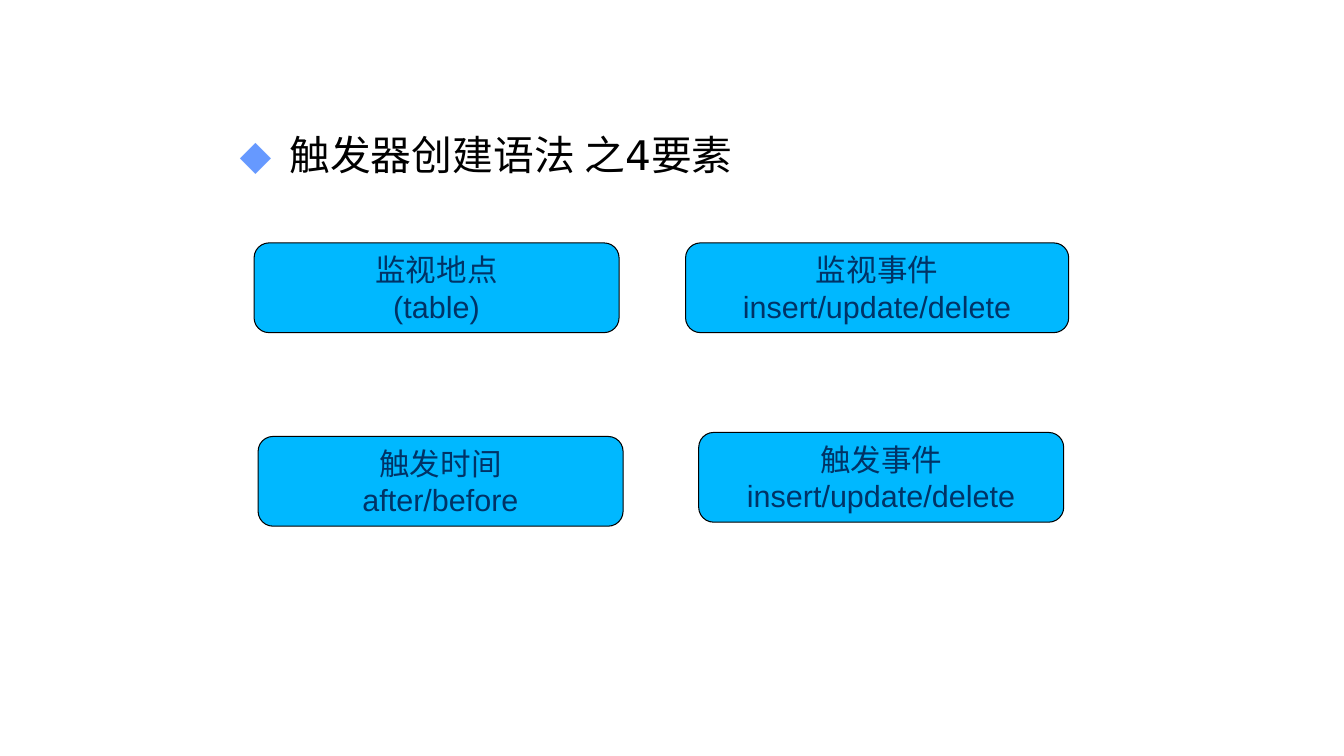
from lxml import etree
from pptx import Presentation
from pptx.dml.color import RGBColor
from pptx.enum import shapes, text
from pptx.oxml import ns
from pptx.util import Inches, Pt

COLORS = {
    "heading": "000000",
    "bullet": "6699FF",
    "card": "00B8FF",
    "outline": "000000",
    "label": "003366",
}


def write_text(frame, lines, *, size, font, color, align):
    for index, line in enumerate(lines):
        paragraph = frame.paragraphs[0] if index == 0 else frame.add_paragraph()
        paragraph.alignment = align
        run = paragraph.add_run()
        run.text = line
        run.font.size = Pt(size)
        run.font.name = font
        run.font.color.rgb = RGBColor.from_string(COLORS[color])


deck = Presentation()
deck.slide_width = Inches(13.33)
deck.slide_height = Inches(7.5)
slide = deck.slides.add_slide(deck.slide_layouts[1])
unused_title = slide.shapes.title.element
unused_title.getparent().remove(unused_title)

heading = slide.placeholders[1]
heading.left, heading.top = Inches(2.29), Inches(1.26)
heading.width, heading.height = Inches(8.26), Inches(0.57)
heading_frame = heading.text_frame
heading_frame.auto_size = text.MSO_AUTO_SIZE.NONE
heading_frame.vertical_anchor = text.MSO_ANCHOR.TOP
heading_frame.margin_left = heading_frame.margin_right = Inches(0.09)
heading_frame.margin_top = heading_frame.margin_bottom = Inches(0.05)
write_text(heading_frame, ["触发器创建语法 之4要素"], size=29.1,
           font="DejaVu Sans", color="heading", align=text.PP_ALIGN.LEFT)

heading_line = heading_frame.paragraphs[0]
heading_line.line_spacing = 0.98
heading_line.space_before = Pt(7)
bullet_format = heading_line._p.get_or_add_pPr()
bullet_format.set("marL", str(Inches(0.49)))
bullet_format.set("indent", str(Inches(-0.49)))
bullet_color = etree.SubElement(bullet_format, ns.qn("a:buClr"))
etree.SubElement(bullet_color, ns.qn("a:srgbClr"), val=COLORS["bullet"])
etree.SubElement(bullet_format, ns.qn("a:buFont"), typeface="DejaVu Sans")
etree.SubElement(bullet_format, ns.qn("a:buChar"), char="◆")

elements = [
    (2.52, 2.41, 3.62, "监视地点", "(table)"),
    (6.8, 2.41, 3.8, "监视事件", "insert/update/delete"),
    (6.93, 4.29, 3.62, "触发事件", "insert/update/delete"),
    (2.56, 4.33, 3.62, "触发时间", "after/before"),
]
for left, top, width, element, keywords in elements:
    card = slide.shapes.add_shape(
        shapes.MSO_SHAPE.ROUNDED_RECTANGLE,
        Inches(left), Inches(top), Inches(width), Inches(0.89))
    card.shadow.inherit = False
    card.fill.solid()
    card.fill.fore_color.rgb = RGBColor.from_string(COLORS["card"])
    card.line.color.rgb = RGBColor.from_string(COLORS["outline"])
    card.line.width = Pt(0.75)
    card.text_frame.word_wrap = False
    card.text_frame.vertical_anchor = text.MSO_ANCHOR.MIDDLE
    write_text(card.text_frame, [element, keywords], size=21.8,
               font="Arial", color="label", align=text.PP_ALIGN.CENTER)

deck.save("out.pptx")
